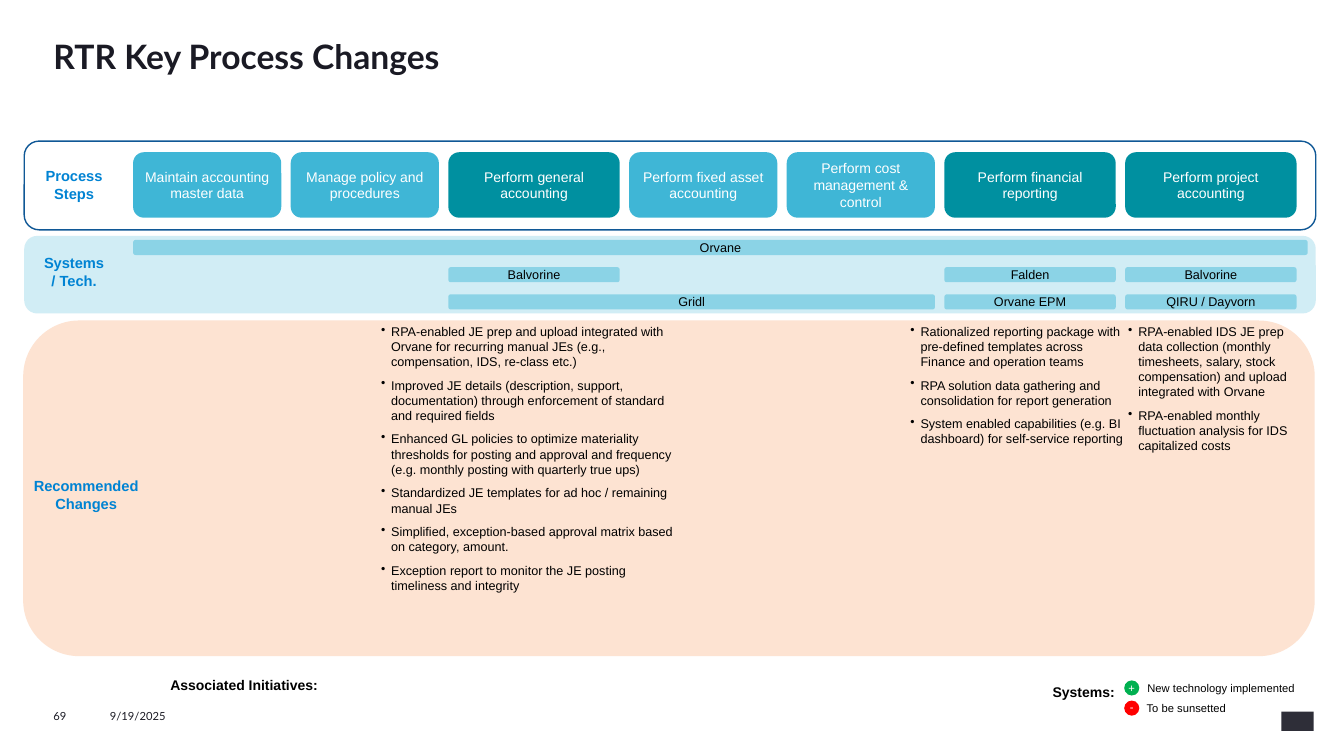
from lxml import etree
from pptx import Presentation
from pptx.dml.color import RGBColor
from pptx.enum.shapes import MSO_SHAPE
from pptx.enum.text import MSO_ANCHOR, PP_ALIGN
from pptx.oxml.ns import qn
from pptx.util import Inches, Pt

ROUNDED, STEP = MSO_SHAPE.ROUNDED_RECTANGLE, MSO_SHAPE.FLOWCHART_ALTERNATE_PROCESS
OVAL, RECTANGLE = MSO_SHAPE.OVAL, MSO_SHAPE.RECTANGLE
TOP, MIDDLE = MSO_ANCHOR.TOP, MSO_ANCHOR.MIDDLE
LEFT, CENTER, RIGHT = PP_ALIGN.LEFT, PP_ALIGN.CENTER, PP_ALIGN.RIGHT

COLORS = {
    "ink": "1A1A24", "black": "000000", "white": "FFFFFF", "label": "0083D3",
    "outline": "105896", "systems": "D1EDF5", "changes": "FDE3D2", "bar": "8BD3E6",
    "step": "3FB6D6", "key_step": "0090A0", "new": "00B050", "sunset": "FF0000",
    "mark": "2E2E38",
}
NO_INSETS = (0, 0, 0, 0)
DEFAULT_INSETS = (0.1, 0.05, 0.1, 0.05)

STEPS = [
    ("Maintain accounting master data", False),
    ("Manage policy and procedures", False),
    ("Perform general accounting", True),
    ("Perform fixed asset accounting", False),
    ("Perform cost management & control", False),
    ("Perform financial reporting", True),
    ("Perform project accounting", True),
]
STEP_LEFT, STEP_RIGHT = 1.32, 12.86
STEP_WIDTHS = [1.7 if is_key else 1.47 for _, is_key in STEPS]
STEP_GAP = (STEP_RIGHT - STEP_LEFT - sum(STEP_WIDTHS)) / (len(STEPS) - 1)
STEP_LEFTS = [STEP_LEFT + sum(STEP_WIDTHS[:i]) + i * STEP_GAP for i in range(len(STEPS))]

# Name, row, first step and last step
SYSTEMS = [
    ("Balvorine", 1, 2, 2), ("Falden", 1, 5, 5), ("Balvorine", 1, 6, 6),
    ("Gridl", 2, 2, 4), ("Orvane EPM", 2, 5, 5), ("QIRU / Dayvorn", 2, 6, 6),
]

# Left, width and bullets
CHANGES = [
    (3.78, 2.94, [
        "RPA-enabled JE prep and upload integrated with Orvane for recurring manual JEs "
        "(e.g., compensation, IDS, re-class etc.)",
        "Improved JE details (description, support, documentation) through enforcement "
        "of standard and required fields",
        "Enhanced GL policies to optimize materiality thresholds for posting and approval "
        "and frequency (e.g. monthly posting with quarterly true ups)",
        "Standardized JE templates for ad hoc / remaining manual JEs",
        "Simplified, exception-based approval matrix based on category, amount.",
        "Exception report to monitor the JE posting timeliness and integrity",
    ]),
    (9.03, 2.12, [
        "Rationalized reporting package with pre-defined templates across Finance and "
        "operation teams",
        "RPA solution data gathering and consolidation for report generation",
        "System enabled capabilities (e.g. BI dashboard) for self-service reporting",
    ]),
    (11.19, 1.7, [
        "RPA-enabled IDS JE prep data collection (monthly timesheets, salary, stock "
        "compensation) and upload integrated with Orvane",
        "RPA-enabled monthly fluctuation analysis for IDS capitalized costs",
    ]),
]


def color(name):
    return RGBColor.from_string(COLORS[name])


def write(shape, lines, size, ink="black", bold=False, font="Arial", align=LEFT,
          anchor=TOP, insets=DEFAULT_INSETS, wrap=True):
    """Fill a shape with formatted paragraphs and return them."""
    frame = shape.text_frame
    frame_format = {"word_wrap": wrap, "vertical_anchor": anchor}
    for side, inset in zip(("left", "top", "right", "bottom"), insets):
        frame_format["margin_" + side] = Inches(inset)
    for key, value in frame_format.items():
        setattr(frame, key, value)
    frame.text = "\n".join(lines)
    for para in frame.paragraphs:
        para.alignment = align
        for span in para.runs:
            span.font.color.rgb = color(ink)
            for key, value in {"size": Pt(size), "bold": bold, "name": font}.items():
                setattr(span.font, key, value)
    return frame.paragraphs


def add_text(page, box, lines, size, **style):
    shape = page.shapes.add_textbox(*map(Inches, box))
    return write(shape, lines, size, **style)


def add_block(page, kind, box, fill=None, line=None):
    shape = page.shapes.add_shape(kind, *map(Inches, box))
    shape.shadow.inherit = False
    if fill:
        shape.fill.solid()
        shape.fill.fore_color.rgb = color(fill)
    else:
        shape.fill.background()
    if line:
        shape.line.color.rgb = color(line)
        shape.line.width = Pt(1)
    else:
        shape.line.fill.background()
    return shape


def add_label(page, box, text):
    add_text(page, box, [text], 10.5, ink="label", bold=True, align=CENTER)


def add_header(page, box):
    title, = add_text(page, box, ["RTR Key Process Changes"], 24, ink="ink", bold=True,
                      font="Lato", insets=NO_INSETS)
    title.line_spacing = 0.85


def add_process_steps(page, box):
    left, top, _, _ = box
    add_block(page, ROUNDED, box, line="outline")
    add_label(page, (left - 0.06, top + 0.21, 1.11, 0.45), "Process Steps")
    for (name, is_key), step_left, width in zip(STEPS, STEP_LEFTS, STEP_WIDTHS):
        step = add_block(page, STEP, (step_left, top + 0.11, width, 0.65),
                         "key_step" if is_key else "step")
        write(step, [name], 10, ink="white", align=CENTER, anchor=MIDDLE, insets=(0.05,) * 4)


def add_systems(page, box):
    left, top, _, _ = box
    add_block(page, ROUNDED, box, "systems")
    add_label(page, (left + 0.08, top + 0.13, 0.83, 0.47), "Systems / Tech.")
    bars = [("Orvane", 0, STEP_LEFT, 11.65)]
    for name, row, first, last in SYSTEMS:
        width = STEP_LEFTS[last] + STEP_WIDTHS[last] - STEP_LEFTS[first]
        bars.append((name, row, STEP_LEFTS[first], width))
    for name, row, bar_left, width in bars:
        bar = add_block(page, ROUNDED, (bar_left, top + 0.04 + 0.27 * row, width, 0.15), "bar")
        write(bar, [name], 9, align=CENTER, anchor=MIDDLE)


def add_bullet(para):
    properties = para._p.get_or_add_pPr()
    properties.set("marL", str(Inches(0.1)))
    properties.set("indent", str(Inches(-0.1)))
    bullet_color = etree.SubElement(properties, qn("a:buClr"))
    etree.SubElement(bullet_color, qn("a:srgbClr"), val=COLORS["black"])
    etree.SubElement(properties, qn("a:buChar"), char="•")
    para.space_after = Pt(6)


def add_changes(page, box):
    left, top, _, height = box
    add_block(page, ROUNDED, box, "changes")
    add_label(page, (left - 0.05, top + 1.5, 1.35, 0.45), "Recommended Changes")
    for column_left, width, bullets in CHANGES:
        column = (column_left, top + 0.03, width, height - 0.12)
        for para in add_text(page, column, bullets, 9, insets=NO_INSETS):
            add_bullet(para)


def add_legend(page, box):
    left, top, _, _ = box
    add_text(page, (left, top + 0.04, 0.69, 0.25), ["Systems:"], 10, bold=True,
             anchor=MIDDLE, insets=NO_INSETS)
    entries = [
        ("+", "new", "New technology implemented", 0.88, 1.87, LEFT, 0),
        ("-", "sunset", "To be sunsetted", 0.76, 1.02, RIGHT, 0.03),
    ]
    for row, (sign, fill, text, offset, width, align, bottom) in enumerate(entries):
        row_top = top + 0.2 * row
        dot = add_block(page, OVAL, (left + 0.71, row_top + 0.05, 0.15, 0.15), fill)
        write(dot, [sign], 8, ink="white", align=CENTER, anchor=MIDDLE,
              insets=(0, 0, 0, bottom), wrap=False)
        add_text(page, (left + offset, row_top, width, 0.25), [text], 8, align=align,
                 anchor=MIDDLE, insets=(0.06,) * 4)


def add_footer(page, box):
    left, top, width, height = box
    add_text(page, (left + 1.16, top, 2.9, 0.23), ["Associated Initiatives:"], 10,
             bold=True, anchor=MIDDLE, insets=NO_INSETS)
    for text, offset, text_width in (("69", 0, 0.56), ("9/19/2025", 0.56, 1.4)):
        add_text(page, (left + offset, top + 0.36, text_width, 0.13), [text], 8,
                 ink="ink", font="Lato", insets=NO_INSETS)
    add_block(page, RECTANGLE, (left + width - 0.38, top + height - 0.19, 0.32, 0.19), "mark")


def main():
    deck = Presentation()
    deck.slide_width, deck.slide_height = Inches(13.33), Inches(7.5)
    page = deck.slides.add_slide(deck.slide_layouts[6])
    add_header(page, (0.53, 0.42, 12.28, 0.7))
    add_process_steps(page, (0.24, 1.4, 12.81, 0.88))
    add_systems(page, (0.24, 2.34, 12.81, 0.77))
    add_changes(page, (0.23, 3.18, 12.81, 3.33))
    add_footer(page, (0.53, 6.68, 12.56, 0.57))
    add_legend(page, (10.44, 6.7, 2.75, 0.45))
    deck.save("out.pptx")


if __name__ == "__main__":
    main()
